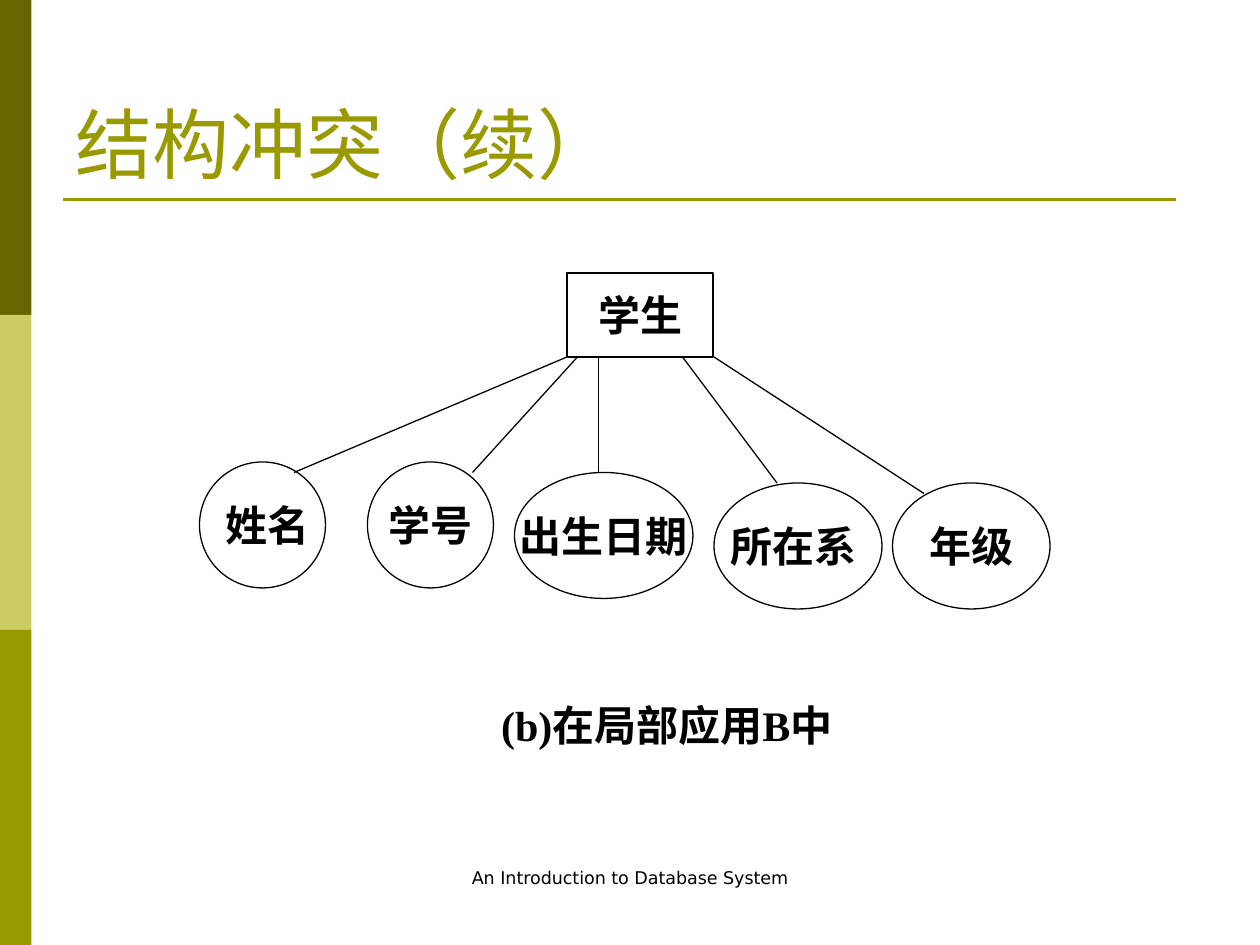
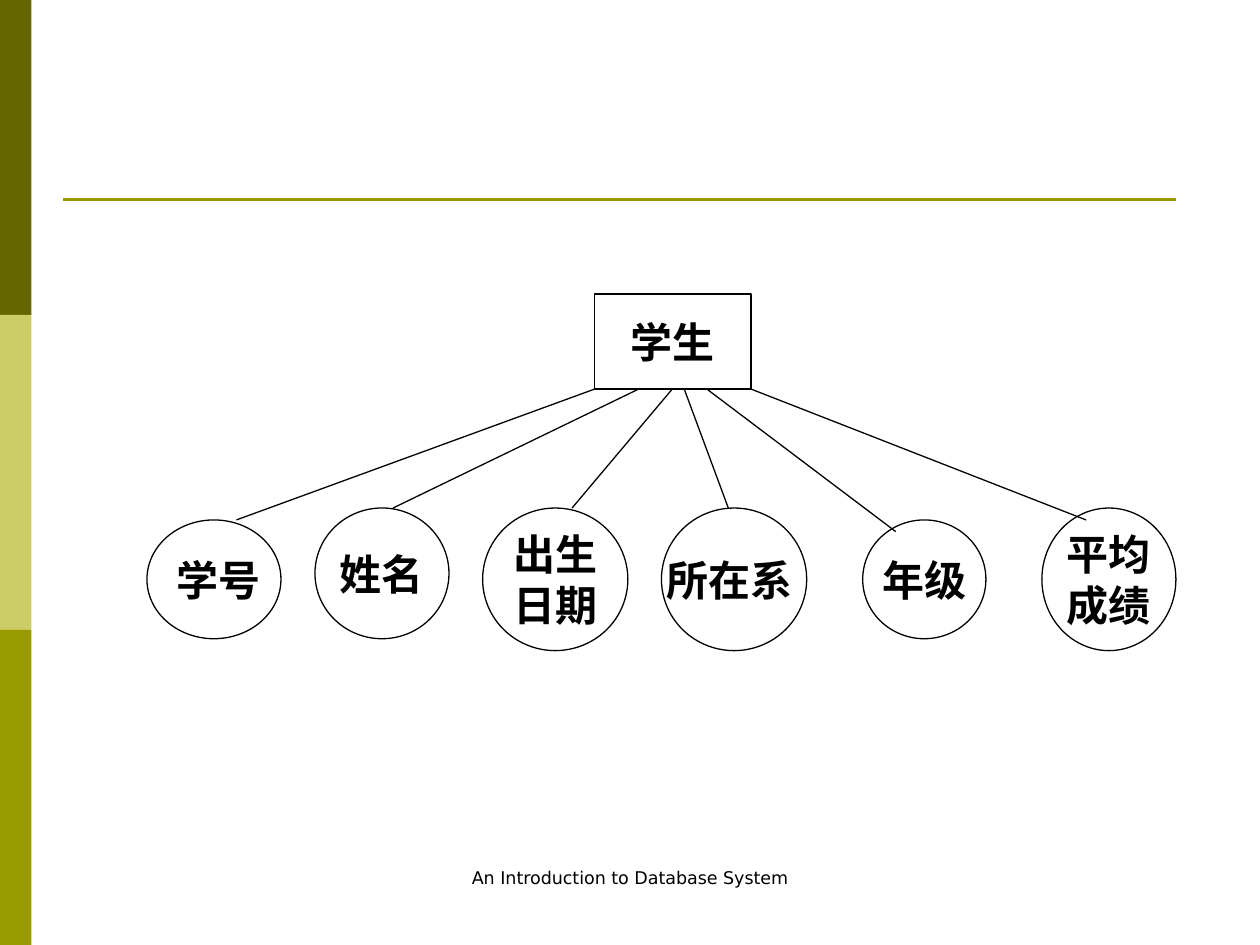
from dataclasses import dataclass
from lxml import etree
from pptx import Presentation
from pptx.dml.color import RGBColor
from pptx.enum import shapes, text
from pptx.oxml.ns import qn
from pptx.util import Pt


@dataclass(frozen=True)
class Theme:
    bands: tuple = ("666600", "CCCC66", "999900")
    accent: str = "999900"
    ink: str = "000000"
    serif: str = "Times New Roman"
    sans: str = "DejaVu Sans"
    title: int = 44
    label: int = 24
    foot: int = 10
    thin: float = 0.75
    rule: float = 1.5


theme = Theme()
RECT = shapes.MSO_SHAPE.RECTANGLE
OVAL = shapes.MSO_SHAPE.OVAL
TOP, MID, LOW = (text.MSO_ANCHOR.TOP, text.MSO_ANCHOR.MIDDLE,
                 text.MSO_ANCHOR.BOTTOM)
LEFT, CENTER = text.PP_ALIGN.LEFT, text.PP_ALIGN.CENTER


def label(slide, words, box, kind=None, size=theme.label, font=theme.serif,
          color=theme.ink, bold=True, wrap=False, anchor=MID, align=CENTER):
    """Add a text box, or an outlined shape when a kind is given."""
    place = [Pt(n) for n in box]
    if kind is None:
        item = slide.shapes.add_textbox(*place)
    else:
        item = slide.shapes.add_shape(kind, *place)
        item.shadow.inherit = False
        item.fill.background()
        item.line.color.rgb = RGBColor.from_string(theme.ink)
        item.line.width = Pt(theme.thin)
    frame = item.text_frame
    frame.text = words
    frame.word_wrap = wrap
    frame.vertical_anchor = anchor
    for para in frame.paragraphs:
        para.alignment = align
        for run in para.runs:
            run.font.size = Pt(size)
            run.font.name = font
            run.font.bold = bold
            run.font.color.rgb = RGBColor.from_string(color)


def link(slide, ends, color=theme.ink, width=theme.thin):
    line = slide.shapes.add_connector(shapes.MSO_CONNECTOR.STRAIGHT,
                                      *[Pt(n) for n in ends])
    line.line.color.rgb = RGBColor.from_string(color)
    line.line.width = Pt(width)
    etree.SubElement(line._element.spPr, qn("a:effectLst"))


# Each attribute: words, oval (left, top, width, height),
# link start x on the entity's lower edge, link end (x, y).
pages = [
    dict(title="结构冲突（续）", note="(b)在局部应用B中",
         entity=(324, 156, 83.5, 48),
         attrs=[
             (" 姓名", (114, 264, 72, 72), 324, (168, 270)),
             ("学号", (210, 264, 72, 72), 330, (270, 270)),
             ("出生日期", (294, 270, 102, 72), 342, (342, 270)),
             ("所在系 ", (408, 276, 96, 72), 390, (444, 276)),
             ("年级", (510, 276, 90, 72), 408, (528, 282)),
         ]),
    dict(title=None, note=None,
         entity=(339.9, 168, 89.2, 54.3),
         attrs=[
             (" 学号", (84, 297.1, 76.6, 67.9), 339.9, (135.1, 297.1)),
             ("姓名", (180, 290.3, 76.6, 74.7), 365, (224.6, 290.3)),
             ("出生\n日期", (275.8, 290.3, 83, 81.5), 384.2, (326.9, 290.3)),
             ("所在系 ", (378, 290.3, 83, 81.5), 391, (416.2, 290.3)),
             ("年级", (493, 297.1, 70.4, 67.9), 403.9, (511.9, 303.8)),
             ("平均\n成绩", (595.4, 290.3, 76.6, 81.5), 429.1, (620.6, 297.1)),
         ]),
]

deck = Presentation()
deck.slide_width, deck.slide_height = Pt(720), Pt(540)
band = 540 / len(theme.bands)

for page in pages:
    slide = deck.slides.add_slide(deck.slide_layouts[6])

    for row, color in enumerate(theme.bands):
        bar = slide.shapes.add_shape(RECT, 0, Pt(row * band), Pt(18), Pt(band))
        bar.shadow.inherit = False
        bar.fill.solid()
        bar.fill.fore_color.rgb = RGBColor.from_string(color)
        bar.line.fill.background()
    link(slide, (36, 114, 672, 114), theme.accent, theme.rule)
    if page["title"]:
        label(slide, page["title"], (36, 21.6, 648, 90), size=theme.title,
              color=theme.accent, bold=False, wrap=True, anchor=LOW, align=LEFT)

    label(slide, "学生", page["entity"], RECT)
    base = page["entity"][1] + page["entity"][3]
    for words, oval, start, end in page["attrs"]:
        label(slide, words, oval, OVAL)
        link(slide, (start, base, *end))

    if page["note"]:
        label(slide, page["note"], (264, 390, 234, 48))
    label(slide, "An Introduction to Database System", (246, 492, 228, 36),
          size=theme.foot, font=theme.sans, bold=False, wrap=True, anchor=TOP)

deck.save("out.pptx")
